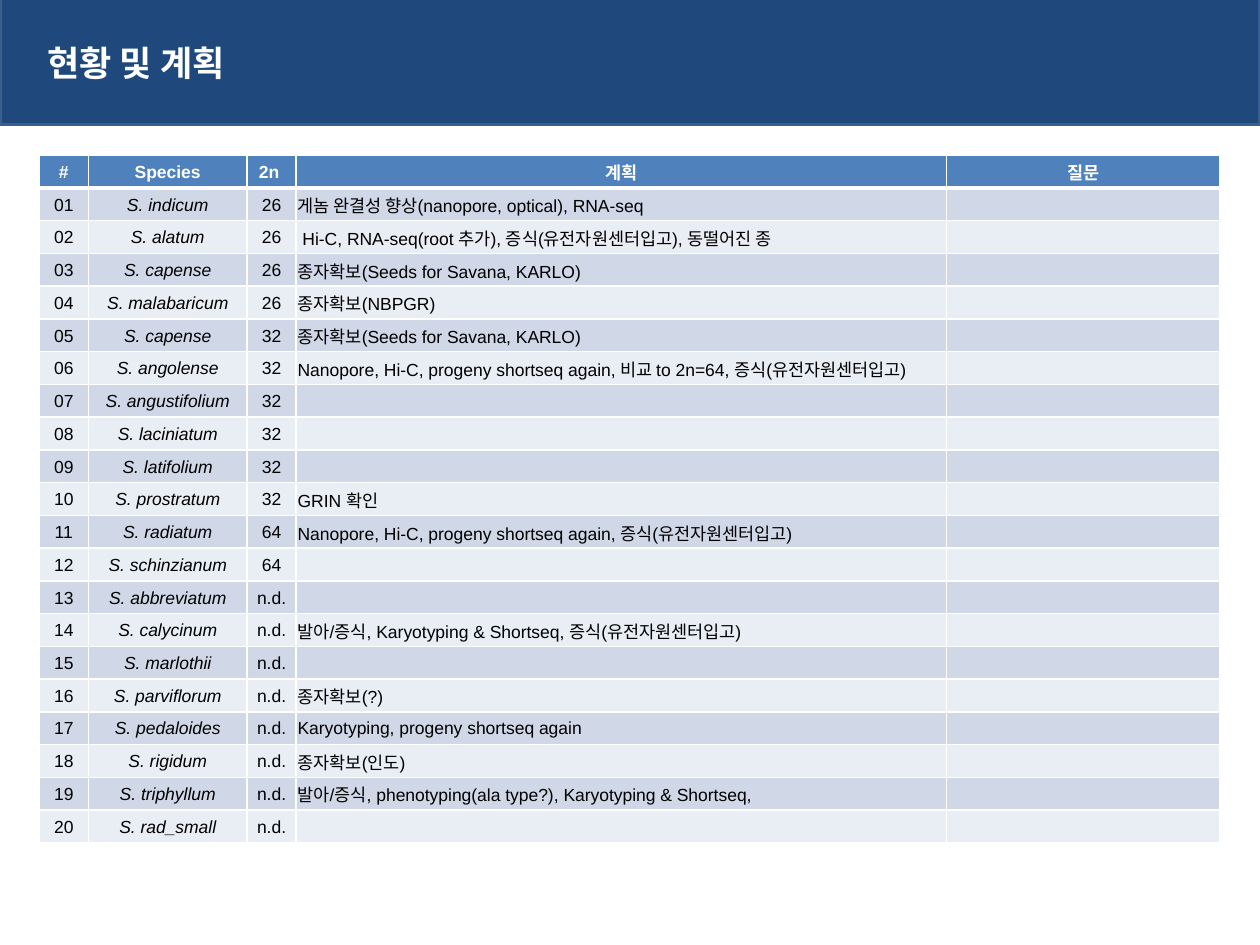
import dataclasses
import typing

import lxml.etree
import pptx
import pptx.dml.color
import pptx.enum.shapes
import pptx.enum.text
import pptx.oxml.ns
import pptx.util

Cm = pptx.util.Cm
Pt = pptx.util.Pt
Align = pptx.enum.text.PP_ALIGN
Middle = pptx.enum.text.MSO_ANCHOR.MIDDLE


@dataclasses.dataclass(frozen=True)
class Theme:
    font: str = "Arial"
    banner: str = "1F497D"
    banner_edge: str = "3A5F8C"
    header: str = "4F81BD"
    odd_row: str = "D0D8E8"
    even_row: str = "E9EDF4"
    white: str = "FFFFFF"
    black: str = "000000"
    title_size: int = 20
    table_size: int = 10
    rule: int = 1
    header_rule: int = 3


@dataclasses.dataclass(frozen=True)
class Species:
    name: str
    chromosomes: str
    plan: str = ""


@dataclasses.dataclass(frozen=True)
class Column:
    heading: str
    width: float
    align: Align = Align.CENTER
    italic: bool = False


THEME = Theme()
ROW_HEIGHT = 0.66
COLUMNS = [
    Column("#", 0.99),
    Column("Species", 3.2, italic=True),
    Column("2n ", 0.99),
    Column("계획", 13.11, Align.LEFT),
    Column("질문", 5.51),
]
SPECIES = [
    Species("S. indicum", "26", "게놈 완결성 향상(nanopore, optical), RNA-seq"),
    Species("S. alatum", "26", " Hi-C, RNA-seq(root 추가), 증식(유전자원센터입고), 동떨어진 종"),
    Species("S. capense", "26", "종자확보(Seeds for Savana, KARLO)"),
    Species("S. malabaricum", "26", "종자확보(NBPGR)"),
    Species("S. capense", "32", "종자확보(Seeds for Savana, KARLO)"),
    Species("S. angolense", "32", "Nanopore, Hi-C, progeny shortseq again, 비교 to 2n=64, 증식(유전자원센터입고)"),
    Species("S. angustifolium", "32"),
    Species("S. laciniatum", "32"),
    Species("S. latifolium", "32"),
    Species("S. prostratum", "32", "GRIN 확인"),
    Species("S. radiatum", "64", "Nanopore, Hi-C, progeny shortseq again, 증식(유전자원센터입고)"),
    Species("S. schinzianum", "64"),
    Species("S. abbreviatum", "n.d."),
    Species("S. calycinum", "n.d.", "발아/증식, Karyotyping & Shortseq, 증식(유전자원센터입고)"),
    Species("S. marlothii", "n.d."),
    Species("S. parviflorum", "n.d.", "종자확보(?)"),
    Species("S. pedaloides", "n.d.", "Karyotyping, progeny shortseq again"),
    Species("S. rigidum", "n.d.", "종자확보(인도)"),
    Species("S. triphyllum", "n.d.", "발아/증식, phenotyping(ala type?), Karyotyping & Shortseq,"),
    Species("S. rad_small", "n.d."),
]


def rgb(color: str) -> pptx.dml.color.RGBColor:
    return pptx.dml.color.RGBColor.from_string(color)


def write(frame: typing.Any, text: str, *, size: int, color: str, bold: bool = False,
          italic: bool = False, align: Align = Align.LEFT) -> None:
    paragraph = frame.paragraphs[0]
    paragraph.alignment = align
    if not text:
        end = lxml.etree.SubElement(paragraph._p, pptx.oxml.ns.qn("a:endParaRPr"))
        end.set("sz", str(size * 100))
        return
    run = paragraph.add_run()
    run.text = text
    run.font.name = THEME.font
    run.font.size = Pt(size)
    run.font.bold = bold
    run.font.italic = italic
    run.font.color.rgb = rgb(color)


def rule_cell(cell: typing.Any, top: int, bottom: int) -> None:
    qn = pptx.oxml.ns.qn
    properties = cell._tc.get_or_add_tcPr()
    widths = {"lnL": THEME.rule, "lnR": THEME.rule, "lnT": top, "lnB": bottom}
    for side, width in widths.items():
        edge = lxml.etree.SubElement(properties, qn(f"a:{side}"), w=str(Pt(width)))
        paint = lxml.etree.SubElement(edge, qn("a:solidFill"))
        lxml.etree.SubElement(paint, qn("a:srgbClr"), val=THEME.white)


def draw_banner(slide: typing.Any, title: str) -> None:
    banner = slide.shapes.add_shape(
        pptx.enum.shapes.MSO_SHAPE.RECTANGLE, Cm(0), Cm(-0.08), Cm(25.4), Cm(2.59))
    banner.shadow.inherit = False
    banner.fill.solid()
    banner.fill.fore_color.rgb = rgb(THEME.banner)
    banner.line.color.rgb = rgb(THEME.banner_edge)
    banner.line.width = Pt(2)
    heading = slide.shapes.add_textbox(Cm(0.71), Cm(0.38), Cm(20.6), Cm(1.75)).text_frame
    heading.word_wrap = True
    heading.vertical_anchor = Middle
    write(heading, title, size=THEME.title_size, color=THEME.white, bold=True)


def draw_plan_table(slide: typing.Any, columns: list[Column], species: list[Species]) -> None:
    rows = [[column.heading for column in columns]]
    rows += [[f"{number:02}", entry.name, entry.chromosomes, entry.plan, ""]
             for number, entry in enumerate(species, 1)]
    width = sum(column.width for column in columns)
    table = slide.shapes.add_table(
        len(rows), len(columns), Cm(0.79), Cm(3.13), Cm(width), Cm(ROW_HEIGHT * len(rows))).table
    table.first_row = table.horz_banding = False
    for grid_column, column in zip(table.columns, columns):
        grid_column.width = Cm(column.width)
    for index, texts in enumerate(rows):
        table.rows[index].height = Cm(ROW_HEIGHT)
        is_header = index == 0
        band = THEME.header if is_header else THEME.odd_row if index % 2 else THEME.even_row
        for position, (text, column) in enumerate(zip(texts, columns)):
            cell = table.cell(index, position)
            cell.vertical_anchor = Middle
            cell.margin_left = cell.margin_right = cell.margin_top = Cm(0.03)
            cell.margin_bottom = Cm(0)
            rule_cell(cell,
                      top=THEME.header_rule if index == 1 else THEME.rule,
                      bottom=THEME.header_rule if is_header else THEME.rule)
            cell.fill.solid()
            cell.fill.fore_color.rgb = rgb(band)
            write(cell.text_frame, text, size=THEME.table_size,
                  color=THEME.white if is_header else THEME.black,
                  bold=is_header,
                  italic=column.italic and not is_header,
                  align=Align.CENTER if is_header else column.align)


def main() -> None:
    deck = pptx.Presentation()
    deck.slide_width, deck.slide_height = Cm(25.4), Cm(19.05)
    slide = deck.slides.add_slide(deck.slide_layouts[6])
    draw_banner(slide, "현황 및 계획")
    draw_plan_table(slide, COLUMNS, SPECIES)
    deck.save("out.pptx")


if __name__ == "__main__":
    main()
